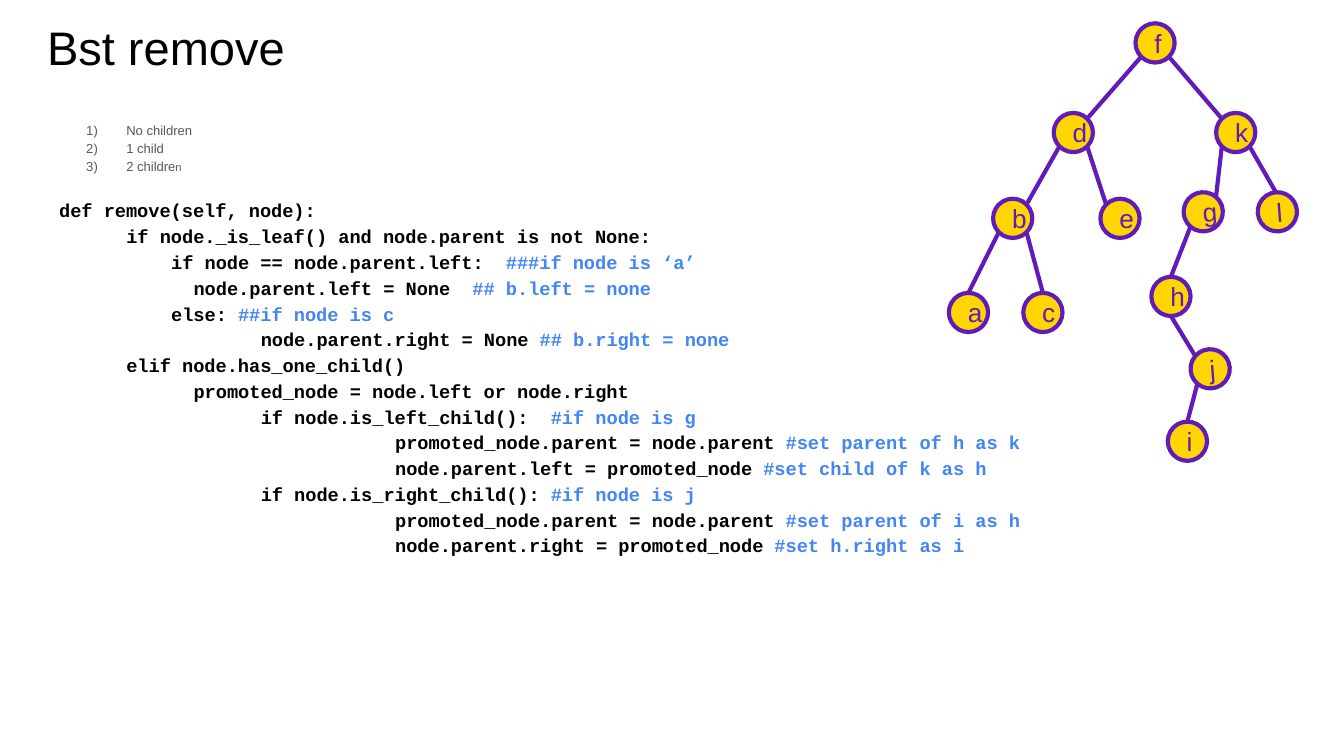
import math

import pptx
import pptx.dml.color
import pptx.enum.shapes
import pptx.enum.text
import pptx.oxml
import pptx.oxml.ns
import pptx.util

Pt = pptx.util.Pt
COLORS = {"ink": "000000", "list": "595959", "comment": "4285F4",
          "node": "FFD600", "edge": "611BB8"}
qn = pptx.oxml.ns.qn


def rgb(name):
    return pptx.dml.color.RGBColor.from_string(COLORS[name])


def style(run, size, font, color, bold=False):
    run.font.size = Pt(size)
    run.font.name = font
    run.font.bold = bold
    run.font.color.rgb = rgb(color)


deck = pptx.Presentation()
deck.slide_width, deck.slide_height = Pt(720), Pt(405)
slide = deck.slides.add_slide(deck.slide_layouts[1])

heading, lesson = slide.placeholders
for holder, box, anchor in [
    (heading, (18, 2.2, 671, 45.4), pptx.enum.text.MSO_ANCHOR.BOTTOM),
    (lesson, (24.5, 56.9, 671, 269.3), pptx.enum.text.MSO_ANCHOR.TOP),
]:
    holder.left, holder.top, holder.width, holder.height = map(Pt, box)
    frame = holder.text_frame
    frame.margin_left = frame.margin_right = Pt(7.2)
    frame.margin_top = frame.margin_bottom = Pt(7.2)
    frame.vertical_anchor = anchor
    frame.auto_size = pptx.enum.text.MSO_AUTO_SIZE.NONE

heading.text_frame.text = "Bst remove"
heading.text_frame.paragraphs[0].alignment = pptx.enum.text.PP_ALIGN.LEFT
style(heading.text_frame.paragraphs[0].runs[0], 25.2, "Arial", "ink")

cases = ["No children", "1 child", "2 childre"]
code = [
    (0, "def remove(self, node):", ""),
    (36, "if node._is_leaf() and node.parent is not None:", ""),
    (60, "if node == node.parent.left:  ", "###if node is ‘a’"),
    (72, "node.parent.left = None  ", "## b.left = none"),
    (60, "else: ", "##if node is c"),
    (108, "node.parent.right = None ", "## b.right = none"),
    (36, "elif node.has_one_child()", ""),
    (72, "promoted_node = node.left or node.right", ""),
    (108, "if node.is_left_child():  ", "#if node is g"),
    (180, "promoted_node.parent = node.parent ", "#set parent of h as k"),
    (180, "node.parent.left = promoted_node ", "#set child of k as h"),
    (108, "if node.is_right_child(): ", "#if node is j"),
    (180, "promoted_node.parent = node.parent ", "#set parent of i as h"),
    (180, "node.parent.right = promoted_node ", "#set h.right as i"),
]

lesson.text_frame.text = "\n".join(cases + [line for _, line, _ in code])
lines = lesson.text_frame.paragraphs
for line in lines:
    line.line_spacing = 1.15
    line.space_before = Pt(0)

for case in lines[:len(cases)]:
    style(case.runs[0], 7, "Arial", "list")
    layout = case._p.get_or_add_pPr()
    layout.set("marL", str(Pt(36)))
    layout.set("indent", str(-Pt(21.5)))
    bullet_color = layout.makeelement(qn("a:buClr"), {})
    bullet_color.append(layout.makeelement(qn("a:srgbClr"), {"val": COLORS["list"]}))
    layout.append(bullet_color)
    layout.append(layout.makeelement(qn("a:buFont"), {"typeface": "Arial"}))
    layout.append(layout.makeelement(qn("a:buAutoNum"), {"type": "arabicParenR"}))
last_letter = lines[len(cases) - 1].add_run()
last_letter.text = "n"
style(last_letter, 6, "Arial", "list")

for line, (indent, _, comment) in zip(lines[len(cases):], code):
    layout = line._p.get_or_add_pPr()
    layout.set("marL", str(Pt(indent)))
    layout.set("indent", "0")
    layout.append(layout.makeelement(qn("a:buNone"), {}))
    style(line.runs[0], 10, "Courier New", "ink", True)
    if comment:
        remark = line.add_run()
        remark.text = comment
        style(remark, 10, "Courier New", "comment", True)
lines[len(cases)].space_before = Pt(12)

DIAMETER = 21
centers = {
    "f": (618.8, 23), "d": (575, 71), "k": (662, 71), "b": (542.5, 117),
    "e": (600, 117), "g": (644.6, 113.5), "l": (684.3, 113.5),
    "a": (518.8, 167.4), "c": (558.7, 167.4), "h": (627.3, 158.8),
    "j": (648.3, 197.6), "i": (636.1, 236.4),
}
tilted = "glj"
for letter, (x, y) in centers.items():
    node = slide.shapes.add_shape(
        pptx.enum.shapes.MSO_SHAPE.OVAL, Pt(x - DIAMETER / 2),
        Pt(y - DIAMETER / 2), Pt(DIAMETER), Pt(DIAMETER))
    node.shadow.inherit = False
    node.rotation = 355.6 if letter in tilted else 0
    node.fill.solid()
    node.fill.fore_color.rgb = rgb("node")
    node.line.color.rgb = rgb("edge")
    node.line.width = Pt(2.25)
    frame = node.text_frame
    frame.margin_left = frame.margin_right = Pt(7.2)
    frame.margin_top = frame.margin_bottom = Pt(7.2)
    frame.vertical_anchor = pptx.enum.text.MSO_ANCHOR.MIDDLE
    frame.text = letter
    frame.paragraphs[0].alignment = pptx.enum.text.PP_ALIGN.LEFT
    style(frame.paragraphs[0].runs[0], 14, "Arial", "edge")

ANGLES = {"top": -90, "top right": -45, "bottom right": 45,
          "bottom": 90, "bottom left": 135, "top left": -135}
edges = [
    ("f", "bottom left", "d", "top right"), ("f", "bottom right", "k", "top left"),
    ("d", "bottom left", "b", "top right"), ("d", "bottom right", "e", "top left"),
    ("k", "bottom left", "g", "top right"), ("k", "bottom right", "l", "top"),
    ("b", "bottom left", "a", "top"), ("b", "bottom right", "c", "top"),
    ("g", "bottom left", "h", "top"), ("h", "bottom", "j", "top left"),
    ("j", "bottom left", "i", "top"),
]
for parent, leaving, child, arriving in edges:
    ends = []
    for letter, side in [(parent, leaving), (child, arriving)]:
        tilt = -4.4 if letter in tilted else 0
        angle = math.radians(ANGLES[side] + tilt)
        x, y = centers[letter]
        ends += [Pt(x + DIAMETER / 2 * math.cos(angle)),
                 Pt(y + DIAMETER / 2 * math.sin(angle))]
    edge = slide.shapes.add_connector(pptx.enum.shapes.MSO_CONNECTOR.STRAIGHT, *ends)
    edge.line.color.rgb = rgb("edge")
    edge.line.width = Pt(2.25)
    edge._element.spPr.append(pptx.oxml.parse_xml(
        '<a:effectLst xmlns:a="http://schemas.openxmlformats.org/drawingml/2006/main"/>'))

deck.save("out.pptx")
